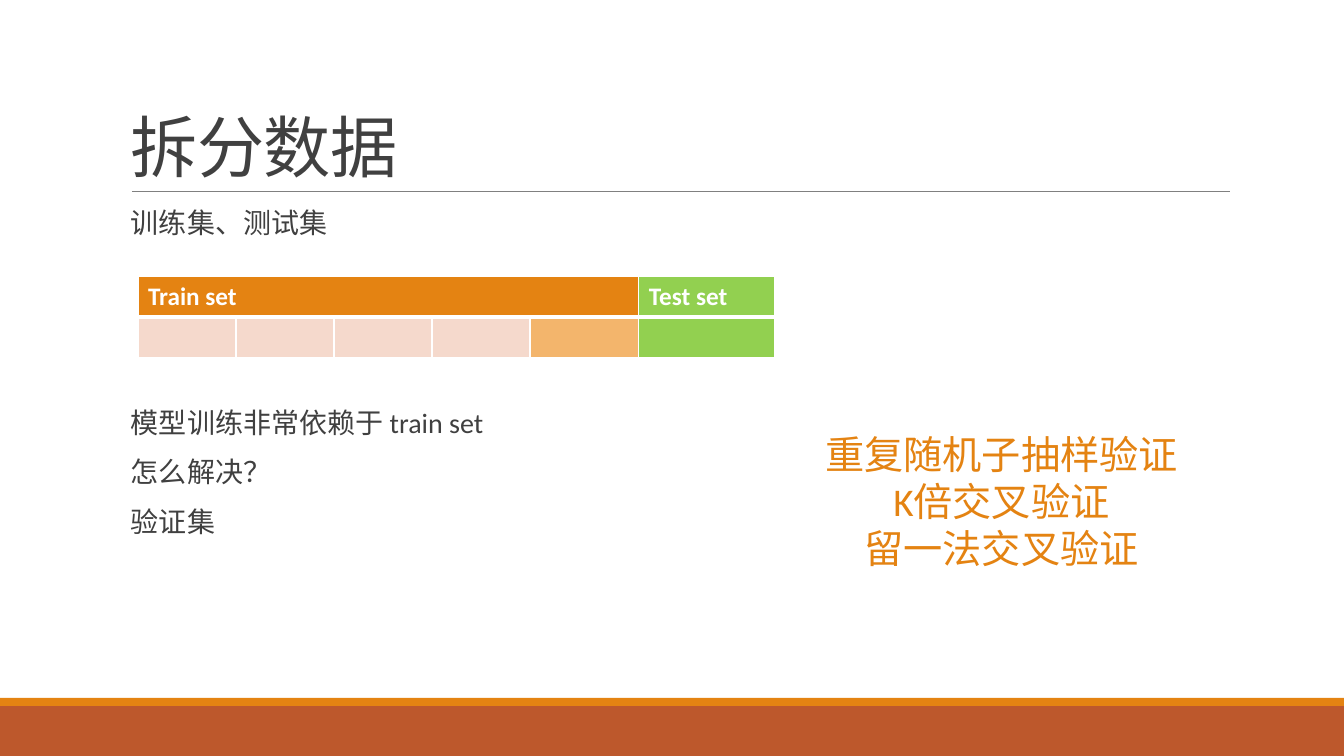
from dataclasses import dataclass
import pptx
import pptx.util
import pptx.dml.color
import pptx.enum.shapes
import pptx.enum.text
import pptx.oxml
import pptx.oxml.ns

SCALE = 914400 / 100.8
FONT = "Calibri"
HUES = {
    "rust": "BD582C", "orange": "E48312", "rule": "808080", "ink": "404040",
    "white": "FFFFFF", "green": "92D050", "blush": "F5D9CC", "peach": "F3B56C",
}
LEFT = pptx.enum.text.PP_ALIGN.LEFT
CENTER = pptx.enum.text.PP_ALIGN.CENTER
TOP = pptx.enum.text.MSO_ANCHOR.TOP
BOTTOM = pptx.enum.text.MSO_ANCHOR.BOTTOM


@dataclass
class Band:
    top: int
    height: int
    hue: str


@dataclass
class Block:
    box: tuple[int, int, int, int]
    lines: list[str]
    size: int
    hue: str
    align: pptx.enum.text.PP_ALIGN = LEFT
    anchor: pptx.enum.text.MSO_ANCHOR = TOP
    wrap: bool = True
    lead: float = 1.0
    before: int = 0
    after: int = 0
    track: int = 0


def px(count: int) -> int:
    return round(count * SCALE)


def tint(name: str) -> pptx.dml.color.RGBColor:
    return pptx.dml.color.RGBColor.from_string(HUES[name])


def style(run, size: int, hue: str, bold: bool = False) -> None:
    run.font.name = FONT
    run.font.size = pptx.util.Pt(size)
    run.font.bold = bold
    run.font.color.rgb = tint(hue)


def draw_band(slide, band: Band) -> None:
    shape = slide.shapes.add_shape(
        pptx.enum.shapes.MSO_SHAPE.RECTANGLE, 0, px(band.top), px(1344), px(band.height))
    shape.shadow.inherit = False
    shape.fill.solid()
    shape.fill.fore_color.rgb = tint(band.hue)
    shape.line.fill.background()


def draw_rule(slide, left: int, right: int, top: int) -> None:
    rule = slide.shapes.add_connector(
        pptx.enum.shapes.MSO_CONNECTOR.STRAIGHT, px(left), px(top), px(right), px(top))
    rule.line.color.rgb = tint("rule")
    rule.line.width = pptx.util.Pt(0.5)
    rule._element.spPr.append(pptx.oxml.parse_xml(
        f'<a:effectLst {pptx.oxml.ns.nsdecls("a")}/>'))


def draw_block(slide, block: Block) -> None:
    frame = slide.shapes.add_textbox(*map(px, block.box)).text_frame
    frame.word_wrap = block.wrap
    frame.vertical_anchor = block.anchor
    frame.margin_left = frame.margin_right = 0
    frame.text = "\n".join(block.lines)
    for para in frame.paragraphs:
        para.alignment = block.align
        para.line_spacing = block.lead
        para.space_before = pptx.util.Pt(block.before)
        para.space_after = pptx.util.Pt(block.after)
        for run in para.runs:
            style(run, block.size, block.hue)
            if block.track:
                run._r.get_or_add_rPr().set("spc", str(block.track))


def edge_cell(cell, widths: dict[str, int]) -> None:
    props = cell._tc.get_or_add_tcPr()
    for spot, (side, width) in enumerate(widths.items()):
        props.insert(spot, pptx.oxml.parse_xml(
            f'<a:ln{side} {pptx.oxml.ns.nsdecls("a")} w="{pptx.util.Pt(width)}">'
            f'<a:solidFill><a:srgbClr val="{HUES["white"]}"/></a:solidFill></a:ln{side}>'))


def draw_split(slide) -> None:
    widths = [98] * 4 + [109, 136]
    height = 41
    hues = [["orange"] * 5 + ["green"], ["blush"] * 4 + ["peach", "green"]]
    edges = [dict(L=1, R=1, T=1, B=3), dict(L=1, R=1, T=3, B=1)]
    table = slide.shapes.add_table(
        len(hues), len(widths), px(138), px(276), px(sum(widths)), px(height * 2)).table
    for column, width in zip(table.columns, widths):
        column.width = px(width)
    for row, names in enumerate(hues):
        table.rows[row].height = px(height)
        for col, name in enumerate(names):
            cell = table.cell(row, col)
            cell.fill.solid()
            cell.fill.fore_color.rgb = tint(name)
            edge_cell(cell, edges[row])
    table.cell(0, 0).merge(table.cell(0, 4))
    for col, label in ((0, "Train set"), (5, "Test set")):
        frame = table.cell(0, col).text_frame
        frame.text = label
        style(frame.paragraphs[0].runs[0], 18, "white", True)


BANDS = [Band(706, 50, "rust"), Band(698, 8, "orange")]
BODY = dict(size=20, hue="ink", lead=0.9, before=12, after=2)
BLOCKS = [
    Block((131, 31, 1099, 160), ["拆分数据"], 48, "ink", anchor=BOTTOM, lead=0.85, track=-50),
    Block((131, 204, 534, 45), ["训练集、测试集"], **BODY),
    Block((131, 404, 534, 150), ["模型训练非常依赖于 train set", "怎么解决？", "验证集"], **BODY),
    Block((813, 425, 377, 152), ["重复随机子抽样验证", "K倍交叉验证", "留一法交叉验证"],
          28, "orange", align=CENTER, wrap=False),
]

deck = pptx.Presentation()
deck.slide_width, deck.slide_height = px(1344), px(756)
slide = deck.slides.add_slide(deck.slide_layouts[6])
for band in BANDS:
    draw_band(slide, band)
draw_rule(slide, 132, 1230, 191)
for block in BLOCKS:
    draw_block(slide, block)
draw_split(slide)
deck.save("out.pptx")
